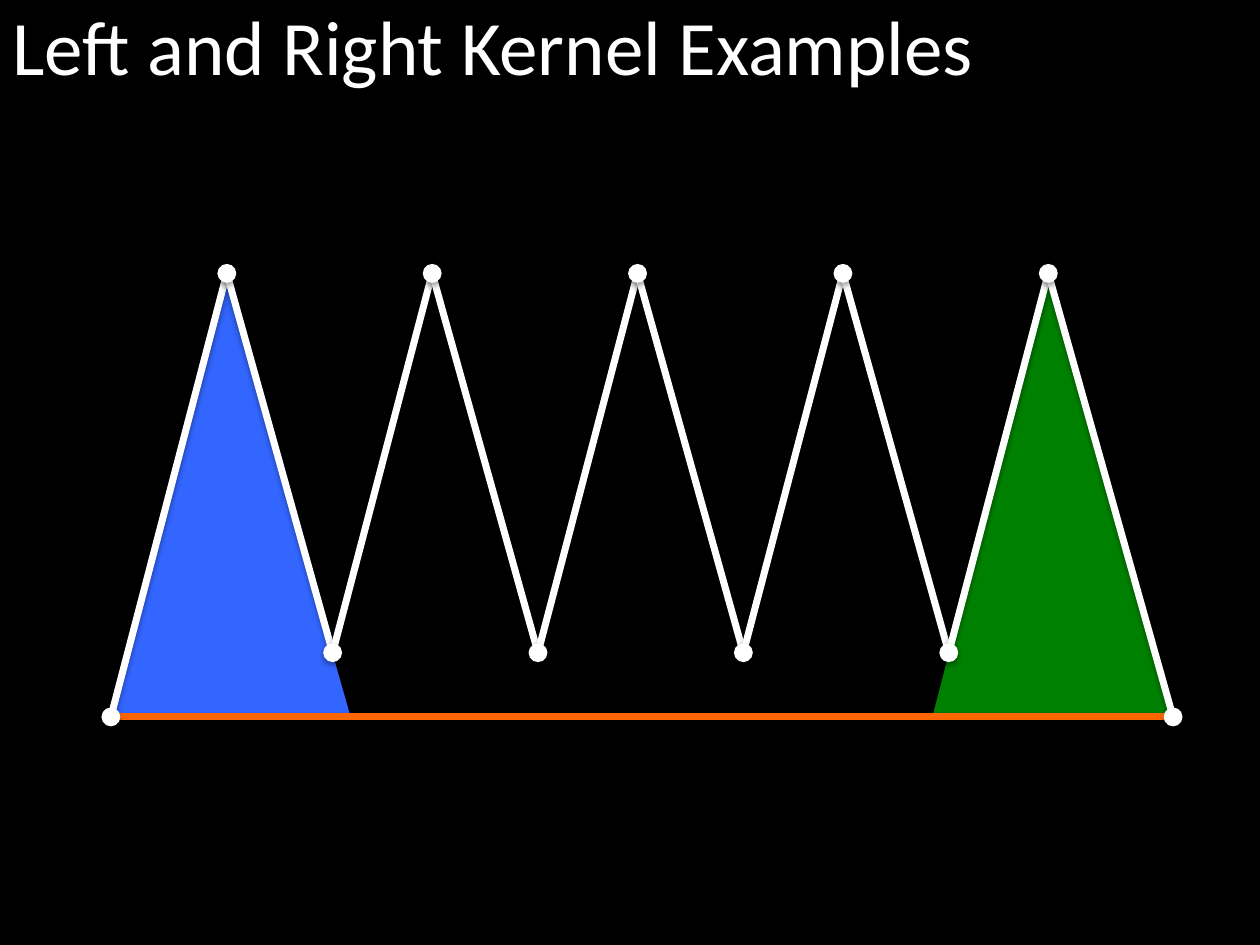
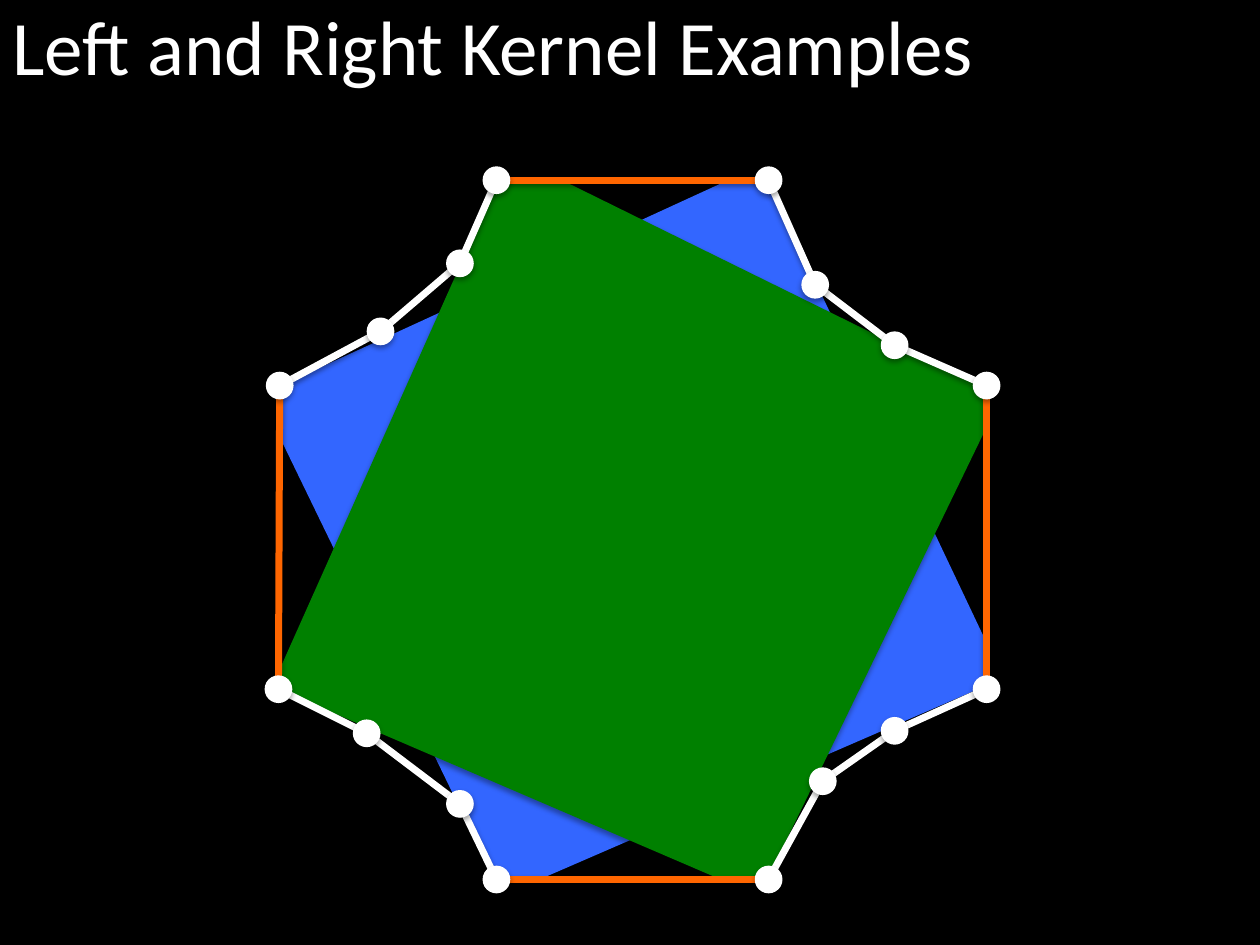
from lxml.etree import SubElement
from pptx import Presentation
from pptx.dml.color import RGBColor
from pptx.enum.shapes import MSO_CONNECTOR, MSO_SHAPE
from pptx.enum.text import MSO_ANCHOR, MSO_AUTO_SIZE, PP_ALIGN
from pptx.oxml.ns import qn
from pptx.util import Inches, Pt

COLORS = {
    "background": "000000",
    "white": "FFFFFF",
    "left_kernel": "3366FF",
    "right_kernel": "008000",
    "window": "FF6600",
    "shadow": "000000",
}
FONT = "Calibri"
TITLE = "Left and Right Kernel Examples"


def rgb(name):
    return RGBColor.from_string(COLORS[name])


def add_shadow(sp, distance, alpha):
    """Soft shadow straight below; call after fill and line are set."""
    effects = SubElement(sp._element.spPr, qn("a:effectLst"))
    shadow = SubElement(effects, qn("a:outerShdw"), blurRad=str(Pt(3.1)),
                        dist=str(Pt(distance)), dir="5400000", rotWithShape="0")
    color = SubElement(shadow, qn("a:srgbClr"), val=COLORS["shadow"])
    SubElement(color, qn("a:alpha"), val=str(alpha * 1000))


def fill_shape(sp, color):
    sp.fill.solid()
    sp.fill.fore_color.rgb = rgb(color)
    sp.line.fill.background()
    add_shadow(sp, 1.8, 35)


def add_kernel(slide, box, points, color):
    left, top = box[:2]
    points = [(Inches(x), Inches(y)) for x, y in points]
    builder = slide.shapes.build_freeform(*points[0])
    builder.add_line_segments(points[1:], close=True)
    fill_shape(builder.convert_to_shape(Inches(left), Inches(top)), color)


def add_edge(slide, box, start, end, color):
    left, top = box[:2]
    line = slide.shapes.add_connector(
        MSO_CONNECTOR.STRAIGHT,
        Inches(left + start[0]), Inches(top + start[1]),
        Inches(left + end[0]), Inches(top + end[1]))
    line.line.color.rgb = rgb(color)
    line.line.width = Pt(4)
    add_shadow(line, 1.6, 38)


def add_polygon(slide, box, vertices, windows, dot):
    """Edges between successive vertices, then a dot on each vertex."""
    left, top = box[:2]
    for i, start in enumerate(vertices):
        end = vertices[(i + 1) % len(vertices)]
        add_edge(slide, box, start, end, "window" if i in windows else "white")
    for x, y in vertices:
        sp = slide.shapes.add_shape(
            MSO_SHAPE.OVAL, Inches(left + x - dot / 2), Inches(top + y - dot / 2),
            Inches(dot), Inches(dot))
        fill_shape(sp, "white")


def add_title_slide(prs):
    slide = prs.slides.add_slide(prs.slide_layouts[5])
    title = slide.shapes.title
    title.left, title.top = Inches(0), Inches(-0.06)
    title.width, title.height = Inches(9.31), Inches(0.84)
    tf = title.text_frame
    tf.text = TITLE
    tf.word_wrap = True
    tf.auto_size = MSO_AUTO_SIZE.NONE
    tf.vertical_anchor = MSO_ANCHOR.TOP
    p = tf.paragraphs[0]
    p.alignment = PP_ALIGN.LEFT
    font = p.runs[0].font
    font.name, font.size = FONT, Pt(44)
    font.color.rgb = rgb("white")
    return slide


def draw_comb(slide, box):
    width, height = box[2:]
    peaks, pitch, valley = 5, 1.63, 3.01

    # Kernels under the first and last peaks
    kernel = [(0, height), (1.9, height - 0.01), (0.91, 0.02)]
    shift = (peaks - 1) * pitch
    add_kernel(slide, box, kernel, "left_kernel")
    add_kernel(slide, box, [(x + shift, y) for x, y in kernel], "right_kernel")

    # Comb outline, closed by its window along the base
    vertices = [(0, height)]
    for i in range(peaks):
        vertices += [(0.92 + i * pitch, 0), (1.76 + i * pitch, valley)]
    vertices[-1] = (width, height)
    add_polygon(slide, box, vertices, {len(vertices) - 1}, dot=0.15)


def draw_four_windows(slide, box):
    width, height = box[2:]

    # Overlapping kernels
    left_kernel = [(0.02, 1.63), (3.57, 0), (3.88, 0), (5.6, 3.63),
                   (5.6, 4.02), (2.05, 5.56), (1.7, 5.52), (0.02, 2.06)]
    right_kernel = [(1.74, 0.01), (0.02, 3.86), (0.02, 4.05), (3.51, 5.55),
                    (3.89, 5.53), (5.63, 1.94), (5.62, 1.66), (2.25, 0)]
    add_kernel(slide, box, left_kernel, "left_kernel")
    add_kernel(slide, box, right_kernel, "right_kernel")

    # Clockwise outline: each side is a window followed by a chain of three edges
    vertices = [
        (1.73, 0), (3.89, 0), (4.26, 0.83), (4.89, 1.31),
        (width, 1.63), (width, 4.04), (4.89, 4.37), (4.32, 4.77),
        (3.89, height), (1.73, height), (1.44, 4.95), (0.7, 4.39),
        (0, 4.04), (0.01, 1.63), (0.81, 1.2), (1.44, 0.66),
    ]
    add_polygon(slide, box, vertices, range(0, len(vertices), 4), dot=0.22)


def main():
    prs = Presentation()
    prs.slide_width, prs.slide_height = Inches(10), Inches(7.5)
    background = prs.slide_master.background.fill
    background.solid()
    background.fore_color.rgb = rgb("background")

    # Boxes are left, top, width, height in inches
    draw_comb(add_title_slide(prs), (0.88, 2.17, 8.43, 3.52))
    draw_four_windows(add_title_slide(prs), (2.21, 1.43, 5.62, 5.55))
    prs.save("out.pptx")


if __name__ == "__main__":
    main()
